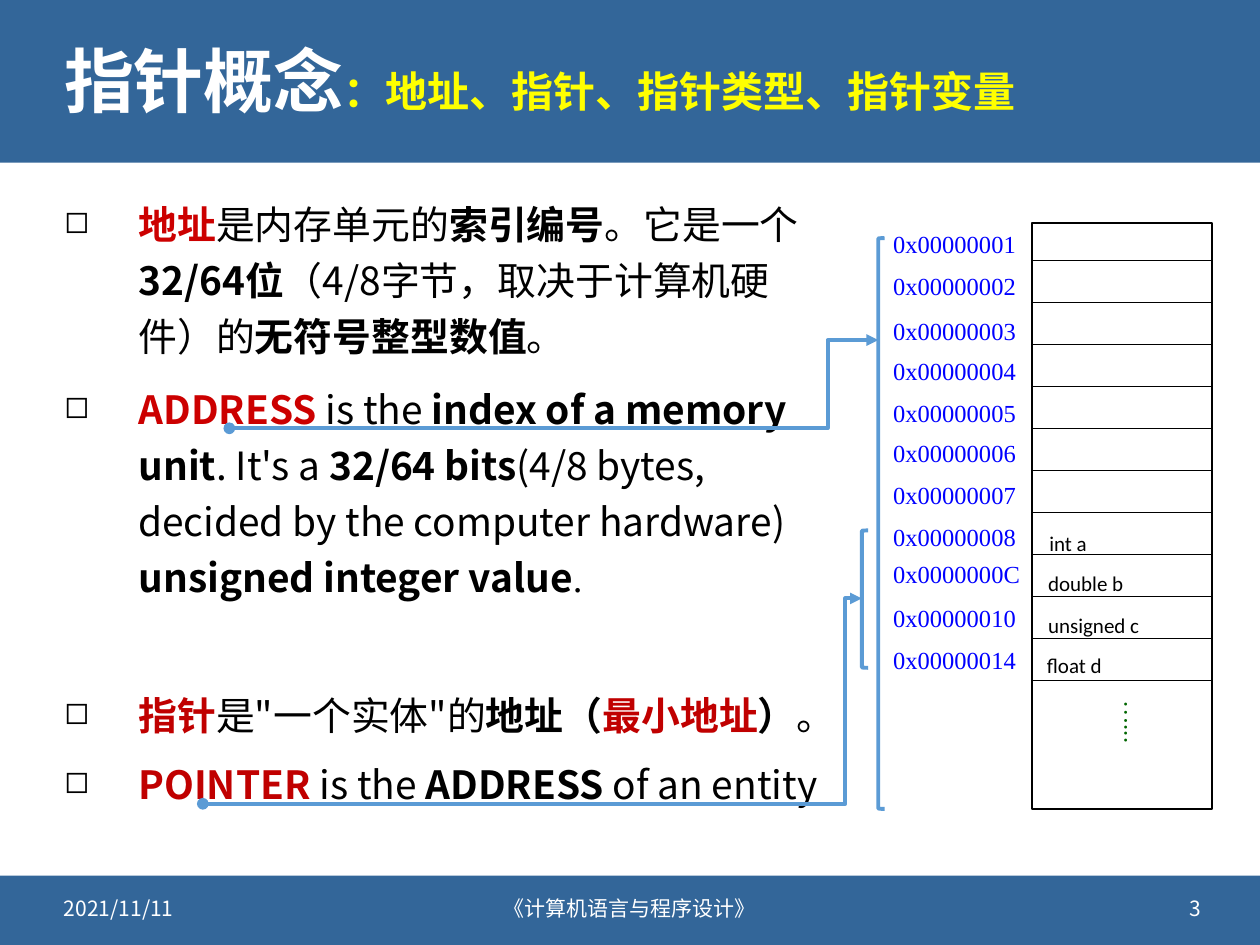
"""Build a slide on the concepts of address and pointer beside a memory diagram."""
from lxml import etree
from pptx import Presentation
from pptx.dml.color import RGBColor
from pptx.enum.shapes import MSO_CONNECTOR, MSO_SHAPE
from pptx.enum.text import MSO_ANCHOR, PP_ALIGN
from pptx.oxml.ns import qn
from pptx.util import Inches, Pt

STRAIGHT, ELBOW = MSO_CONNECTOR.STRAIGHT, MSO_CONNECTOR.ELBOW
RECTANGLE, LEFT_BRACKET = MSO_SHAPE.RECTANGLE, MSO_SHAPE.LEFT_BRACKET
TOP, MIDDLE = MSO_ANCHOR.TOP, MSO_ANCHOR.MIDDLE
LEFT, CENTER, RIGHT = PP_ALIGN.LEFT, PP_ALIGN.CENTER, PP_ALIGN.RIGHT

THEME = {
    "band": "336699", "white": "FFFFFF", "black": "000000", "yellow": "FFFF00",
    "red": "CC0000", "dark red": "C00000", "blue": "0000FF", "green": "006600",
    "accent": "5B9BD5",
    "sans": "Noto Sans CJK SC", "serif": "Times New Roman", "label": "Calibri",
    "title size": 40, "subtitle size": 24, "body size": 22.2,
    "address size": 14, "small size": 12, "thin": 0.75, "thick": 2.25,
}

BOLD = {"bold": True}
RED = {"bold": True, "color": "red"}
DARK_RED = {"bold": True, "color": "dark red"}

BANDS = [(0, 1.29), (6.95, 0.55)]
TITLE = [("指针概念", {"size": "title size"}),
         ("：地址、指针、指针类型、指针变量", {"size": "subtitle size", "color": "yellow"})]
FOOTERS = [("2021/11/11", 0.41, 2.4, LEFT),
           ("《计算机语言与程序设计》", 3.2, 3.6, CENTER),
           ("3", 7.23, 2.4, RIGHT)]
POINTS = [
    {"line": 1.2, "before": 4, "runs": [
        ("地址", RED), ("是内存单元的", {}), ("索引编号", BOLD), ("。它是一个", {}),
        ("32/64位", BOLD), ("（4/8字节，取决于计算机硬件）的", {}),
        ("无符号整型数值", BOLD), ("。", {})]},
    {"line": 1.2, "before": 10, "runs": [
        ("ADDRESS ", RED), ("is the ", {}), ("index of a memory unit", BOLD),
        (". It's a ", {}), ("32/64 bits", BOLD),
        ("(4/8 bytes, decided by the computer hardware) ", {}),
        ("unsigned integer value", BOLD), (".", {"font": "serif"})]},
    {"line": 1.1, "before": 49.5, "runs": [
        ("指针", DARK_RED), ("是\"一个实体\"的", {}), ("地址（", BOLD),
        ("最小地址", DARK_RED), ("）", BOLD), ("。", {})]},
    {"line": 1.1, "before": 10, "runs": [
        ("POINTER ", DARK_RED), ("is the ", {}), ("ADDRESS ", BOLD), ("of an entity", {})]},
]
ADDRESSES = [("0x00000001", 1.77), ("0x00000002", 2.1), ("0x00000003", 2.46),
             ("0x00000004", 2.78), ("0x00000005", 3.11), ("0x00000006", 3.43),
             ("0x00000007", 3.76), ("0x00000008", 4.09), ("0x0000000C", 4.39),
             ("0x00000010", 4.74), ("0x00000014", 5.07)]
VARIABLES = [("int a", 8.23, 4.16), ("double b", 8.22, 4.48),
             ("unsigned c", 8.22, 4.81), ("float d", 8.21, 5.13)]
MEMORY_LEFT, MEMORY_TOP, MEMORY_WIDTH, MEMORY_HEIGHT = 8.19, 1.77, 1.43, 4.65
FIRST_DIVIDER, CELL_HEIGHT = 2.07, 1 / 3
BRACKETS = [(6.97, 1.89, 4.53), (6.84, 4.21, 1.09)]
POINTER_ARROWS = [((1.82, 3.4), (6.97, 2.7), 6.57), ((1.61, 6.38), (6.84, 4.75), 6.71)]


def rgb(name):
    return RGBColor.from_string(THEME[name])


def add_child(parent, tag, **attributes):
    return etree.SubElement(parent, qn(tag), attributes)


def write_runs(paragraph, runs, **defaults):
    for text, changes in runs:
        look = {"font": "sans", "color": "black", "bold": False, **defaults, **changes}
        run = paragraph.add_run()
        run.text = text
        run.font.size = Pt(THEME[look["size"]])
        run.font.bold = look["bold"]
        run.font.color.rgb = rgb(look["color"])
        run.font.name = THEME[look["font"]]
        add_child(run.font._element, "a:ea", typeface=THEME[look["font"]])


def add_text(slide, runs, left, top, width, height, *, align=LEFT, anchor=TOP,
             wrap=True, spacing=1.0, vertical=None, **look):
    frame = slide.shapes.add_textbox(
        Inches(left), Inches(top), Inches(width), Inches(height)).text_frame
    frame.word_wrap, frame.vertical_anchor = wrap, anchor
    if vertical:
        frame._txBody.bodyPr.set("vert", vertical)
    paragraph = frame.paragraphs[0]
    paragraph.alignment, paragraph.line_spacing = align, spacing
    write_runs(paragraph, [(runs, {})] if isinstance(runs, str) else runs, **look)
    return frame


def add_points(slide):
    frame = add_text(slide, [], 0.41, 1.47, 6.39, 5.28)
    for index, point in enumerate(POINTS):
        paragraph = frame.add_paragraph() if index else frame.paragraphs[0]
        paragraph.line_spacing = point["line"]
        paragraph.space_before = Pt(point["before"])
        properties = paragraph._p.get_or_add_pPr()
        properties.set("marL", str(Inches(0.59)))
        properties.set("indent", str(-Inches(0.59)))
        add_child(add_child(properties, "a:buClr"), "a:srgbClr", val=THEME["black"])
        add_child(properties, "a:buSzPct", val="80000")
        add_child(properties, "a:buChar", char="◻")
        write_runs(paragraph, point["runs"], size="body size")


def add_box(slide, preset, left, top, width, height, fill=None, line=None, weight="thin"):
    box = slide.shapes.add_shape(
        preset, Inches(left), Inches(top), Inches(width), Inches(height))
    box.shadow.inherit = False
    if fill:
        box.fill.solid()
        box.fill.fore_color.rgb = rgb(fill)
    else:
        box.fill.background()
    if line:
        box.line.color.rgb = rgb(line)
        box.line.width = Pt(THEME[weight])
    else:
        box.line.fill.background()


def add_line(slide, kind, start, end, color, weight):
    line = slide.shapes.add_connector(kind, *map(Inches, start + end))
    line.line.color.rgb = rgb(color)
    line.line.width = Pt(THEME[weight])
    add_child(line._element.spPr, "a:effectLst")
    return line


def add_pointer_arrow(slide, start, end, bend):
    arrow = add_line(slide, ELBOW, start, end, "accent", "thick")
    outline = arrow.line._get_or_add_ln()
    add_child(outline, "a:headEnd", type="oval")
    add_child(outline, "a:tailEnd", type="triangle")
    guides = arrow._element.spPr.find(qn("a:prstGeom")).get_or_add_avLst()
    share = (bend - start[0]) / (end[0] - start[0])
    add_child(guides, "a:gd", name="adj1", fmla=f"val {round(share * 100000)}")


def add_memory(slide):
    add_box(slide, RECTANGLE, MEMORY_LEFT, MEMORY_TOP, MEMORY_WIDTH, MEMORY_HEIGHT,
            line="black")
    for index, (address, top) in enumerate(ADDRESSES):
        divider = FIRST_DIVIDER + index * CELL_HEIGHT
        add_line(slide, STRAIGHT, (MEMORY_LEFT, divider),
                 (MEMORY_LEFT + MEMORY_WIDTH, divider), "black", "thin")
        add_text(slide, address, 6.99, top, 1.23, 0.34, wrap=False,
                 size="address size", font="serif", color="blue")
    for variable, left, top in VARIABLES:
        add_text(slide, variable, left, top, 1.42, 0.3, size="small size", font="label")
    add_text(slide, "…...", 8.84, 5.46, 0.33, 0.44, wrap=False, vertical="eaVert",
             size="address size", font="serif", color="green")


def main():
    deck = Presentation()
    deck.slide_width, deck.slide_height = Inches(10), Inches(7.5)
    slide = deck.slides.add_slide(deck.slide_layouts[6])
    for top, height in BANDS:
        add_box(slide, RECTANGLE, 0, top, 10, height, fill="band")
    add_points(slide)
    add_text(slide, TITLE, 0.41, 0.18, 9.19, 0.99, anchor=MIDDLE, spacing=0.9,
             color="white", bold=True)
    for text, left, width, align in FOOTERS:
        add_text(slide, text, left, 7.01, width, 0.4, align=align, anchor=MIDDLE,
                 size="small size", color="white")
    add_memory(slide)
    for left, top, height in BRACKETS:
        add_box(slide, LEFT_BRACKET, left, top, 0.05, height, line="accent", weight="thick")
    for start, end, bend in POINTER_ARROWS:
        add_pointer_arrow(slide, start, end, bend)
    deck.save("out.pptx")


if __name__ == "__main__":
    main()
